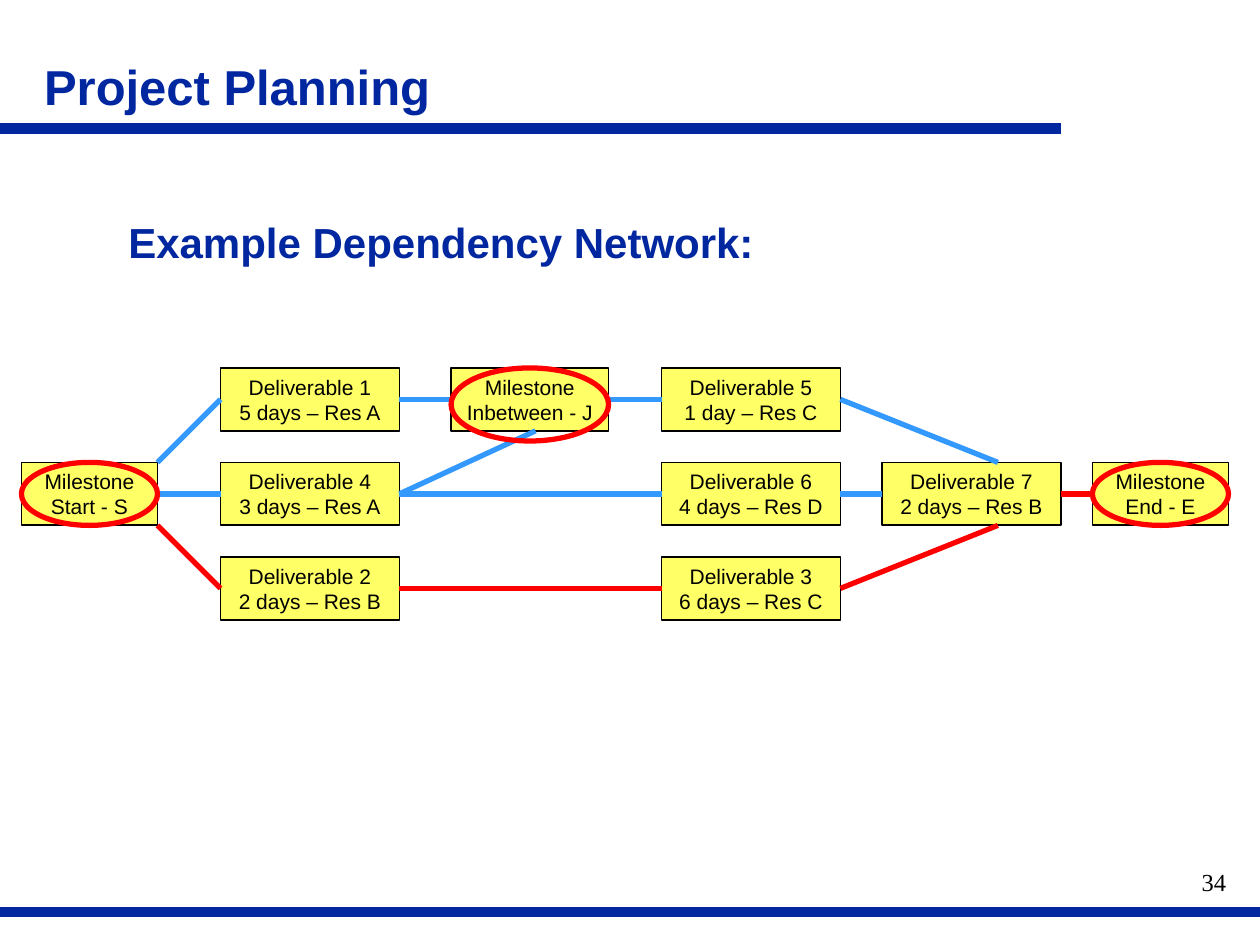
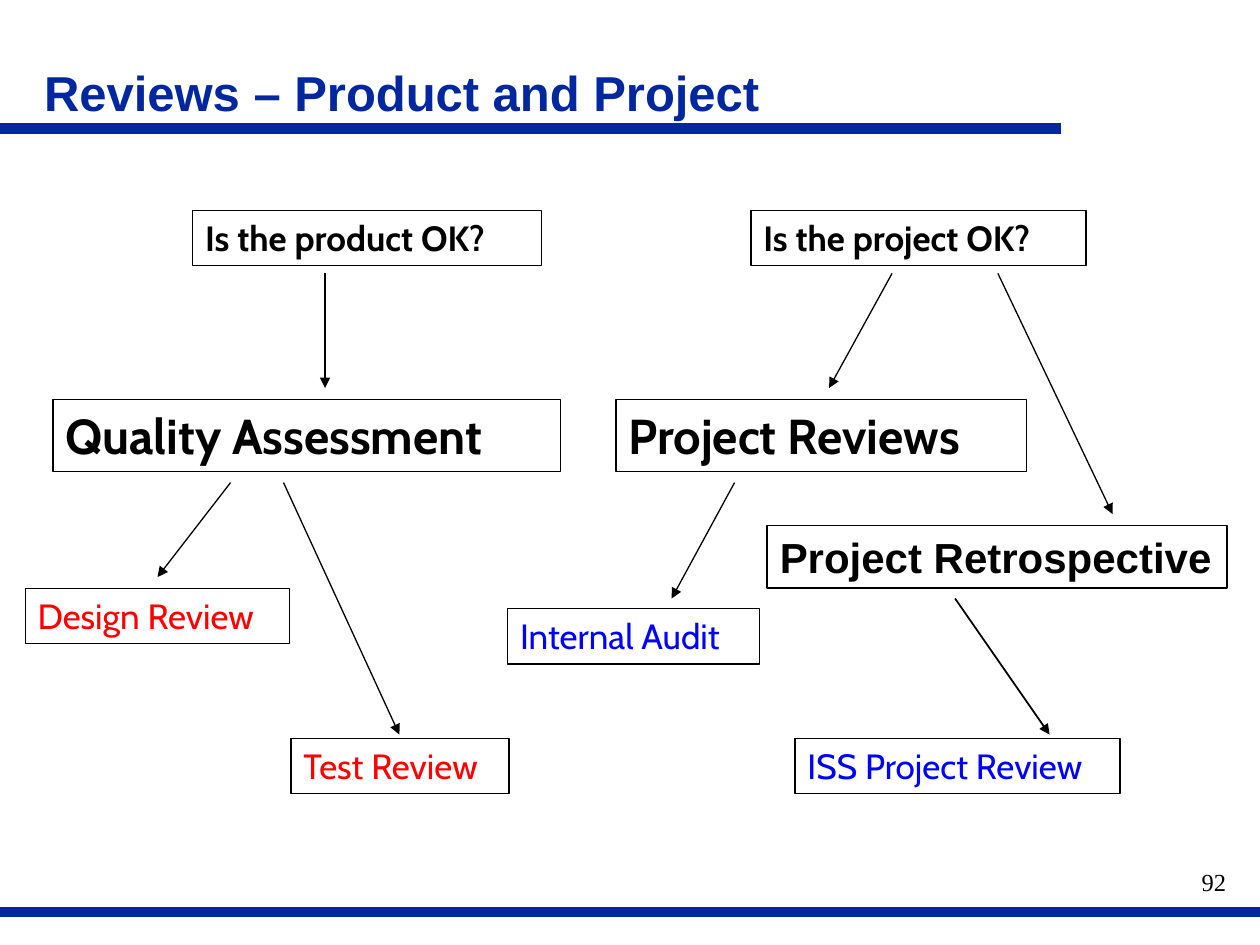
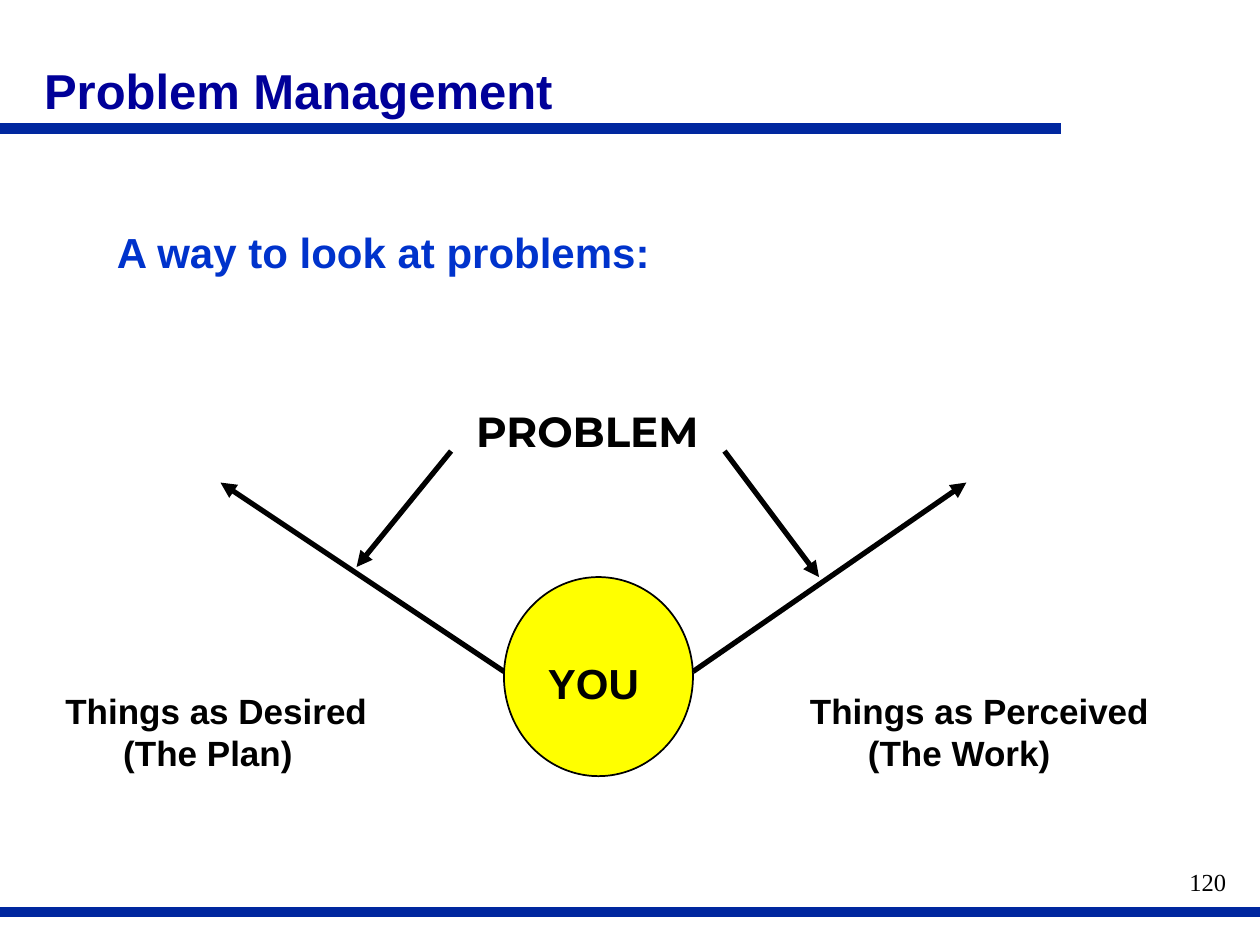
from typing import NamedTuple

from lxml.etree import SubElement
from pptx import Presentation
from pptx.dml.color import RGBColor
from pptx.enum.shapes import MSO_CONNECTOR as Wire, MSO_SHAPE as Form
from pptx.enum.text import MSO_ANCHOR as Anchor, MSO_AUTO_SIZE as Fit, PP_ALIGN as Align
from pptx.oxml.ns import qn
from pptx.util import Inches, Pt

NAVY = RGBColor(0x00, 0x27, 0x9F)
INDIGO = RGBColor(0x00, 0x00, 0x99)
COBALT = RGBColor(0x00, 0x33, 0xCC)
SKY = RGBColor(0x33, 0x99, 0xFF)
BLUE = RGBColor(0x00, 0x00, 0xFF)
RED = RGBColor(0xFF, 0x00, 0x00)
LEMON = RGBColor(0xFF, 0xFF, 0x66)
YELLOW = RGBColor(0xFF, 0xFF, 0x00)
BLACK = RGBColor(0x00, 0x00, 0x00)

ROWS = (2.92, 3.67, 4.42)
TOP, MID, LOW = (row + 0.25 for row in ROWS)
TASK, STONE = 1.42, 1.08


class Box(NamedTuple):
    left: float
    top: float
    width: float
    height: float


class Style(NamedTuple):
    size: float
    color: RGBColor = BLACK
    bold: bool = True
    face: str = "Arial"
    align: Align = Align.LEFT


class Label(NamedTuple):
    text: str
    box: Box
    style: Style
    edge: float = 0
    fit: Fit = Fit.SHAPE_TO_FIT_TEXT


class Node(NamedTuple):
    text: str
    left: float
    row: int
    width: float = TASK
    oval: float = 0


class Link(NamedTuple):
    start: tuple[float, float]
    end: tuple[float, float]
    color: RGBColor = BLACK
    weight: float = 3
    arrow: bool = True


NOTE = Style(12, bold=False, align=Align.CENTER)
PAGE = Style(14, bold=False, face="Times New Roman", align=Align.RIGHT)
ASK = Style(20, face="Cabin")
HEAD = Style(28, face="Cabin")
PRODUCT = Style(20, RED, False, "Cabin")
PROJECT = Style(20, BLUE, False, "Cabin")
BIG = Style(24)
SIDE = Style(20)

BANDS = (
    Link((8.42, 1.02), (-0.03, 1.02), NAVY, 6, False),
    Link((10.04, 7.24), (-0.05, 7.24), NAVY, 6, False),
)

NODES = (
    Node("Milestone\vStart - S", 0.17, 1, STONE, 0.5),
    Node("Deliverable 1\v5 days – Res A", 1.75, 0),
    Node("Deliverable 4\v3 days – Res A", 1.75, 1),
    Node("Deliverable 2\v2 days – Res B", 1.75, 2),
    Node("Milestone\vInbetween - J", 3.58, 0, 1.25, 0.58),
    Node("Deliverable 5\v1 day – Res C", 5.25, 0),
    Node("Deliverable 6\v4 days – Res D", 5.25, 1),
    Node("Deliverable 3\v6 days – Res C", 5.25, 2),
    Node("Deliverable 7\v2 days – Res B", 7, 1),
    Node("Milestone\vEnd - E", 8.67, 1, STONE, 0.5),
)

ROUTES = {
    RED: (
        ((1.25, 4.17), (1.75, LOW)),
        ((3.17, LOW), (5.25, LOW)),
        ((6.67, LOW), (7.92, 4.17)),
        ((8.42, MID), (8.67, MID)),
    ),
    SKY: (
        ((1.25, 3.67), (1.75, TOP)),
        ((3.17, TOP), (3.58, TOP)),
        ((4.83, TOP), (5.25, TOP)),
        ((6.67, TOP), (7.92, 3.67)),
        ((1.25, MID), (1.75, MID)),
        ((3.17, MID), (4.25, 3.42)),
        ((3.17, MID), (5.25, MID)),
        ((6.67, MID), (7, MID)),
    ),
}

REVIEWS = (
    Label("Is the product OK?", Box(1.53, 1.67, 2.77, 0.44), ASK, 0.75),
    Label("Is the project OK?", Box(5.96, 1.67, 2.66, 0.44), ASK, 0.75),
    Label("Quality Assessment", Box(0.42, 3.17, 4.03, 0.57), HEAD, 0.75),
    Label("Project Reviews", Box(4.89, 3.17, 3.26, 0.57), HEAD, 0.75),
    Label("Design Review", Box(0.2, 4.67, 2.1, 0.44), PRODUCT, 0.75),
    Label("Test Review", Box(2.31, 5.86, 1.73, 0.44), PRODUCT, 0.75),
    Label("Internal Audit", Box(4.03, 4.83, 2, 0.44), PROJECT, 0.75),
    Label("ISS Project Review", Box(6.31, 5.86, 2.58, 0.44), PROJECT, 0.75),
    Label("Project Retrospective", Box(6.09, 4.17, 3.65, 0.5), BIG, 1),
)

STEPS = (
    Link((2.58, 2.17), (2.58, 3.08), weight=0.75),
    Link((7.08, 2.17), (6.58, 3.08), weight=0.75),
    Link((1.83, 3.83), (1.25, 4.58), weight=0.75),
    Link((2.25, 3.83), (3.17, 5.83), weight=0.75),
    Link((5.83, 3.83), (5.33, 4.75), weight=0.75),
    Link((7.92, 2.17), (8.83, 4.08), weight=0.75),
    Link((7.58, 4.75), (8.33, 5.83), weight=1),
)

VIEWS = (
    Link((5.5, 5.33), (7.67, 3.83)),
    Link((4, 5.33), (1.75, 3.83)),
    Link((5.75, 3.58), (6.5, 4.58)),
    Link((3.58, 3.58), (2.83, 4.5)),
)

SIDES = (
    Label("Things as Desired\n(The Plan)", Box(0.42, 5.42, 2.6, 0.77), SIDE),
    Label("Things as Perceived\n(The Work)", Box(6.33, 5.42, 2.89, 0.77), SIDE),
)


def place(box: Box) -> list:
    return [Inches(side) for side in box]


def write(frame, text: str, style: Style) -> None:
    frame.text = text
    for para in frame.paragraphs:
        para.alignment = style.align
        font = para.font
        font.name, font.size, font.bold = style.face, Pt(style.size), style.bold
        font.color.rgb = style.color


def draw_link(slide, link: Link) -> None:
    ends = [Inches(n) for n in (*link.start, *link.end)]
    wire = slide.shapes.add_connector(Wire.STRAIGHT, *ends)
    wire.line.color.rgb = link.color
    wire.line.width = Pt(link.weight)
    if link.arrow:
        SubElement(wire.line._get_or_add_ln(), qn("a:tailEnd"), type="triangle")
    SubElement(wire._element.spPr, qn("a:effectLst"))


def draw_label(slide, label: Label):
    shape = slide.shapes.add_textbox(*place(label.box))
    frame = shape.text_frame
    write(frame, label.text, label.style)
    frame.word_wrap = False
    frame.auto_size = label.fit
    if label.edge:
        shape.line.color.rgb = BLACK
        shape.line.width = Pt(label.edge)
    return frame


def draw_form(slide, form: Form, box: Box, fill: RGBColor | None, edge: RGBColor, weight: float):
    shape = slide.shapes.add_shape(form, *place(box))
    shape.shadow.inherit = False
    if fill is None:
        shape.fill.background()
    else:
        shape.fill.solid()
        shape.fill.fore_color.rgb = fill
    shape.line.color.rgb = edge
    shape.line.width = Pt(weight)
    return shape


def draw_node(slide, node: Node) -> None:
    box = Box(node.left, ROWS[node.row], node.width, 0.5)
    frame = draw_form(slide, Form.RECTANGLE, box, LEMON, BLACK, 1).text_frame
    frame.word_wrap = True
    frame.vertical_anchor = Anchor.TOP
    write(frame, node.text, NOTE)


def start(deck, title: str, box: Box, page: str, color: RGBColor = NAVY):
    slide = deck.slides.add_slide(deck.slide_layouts[5])
    for band in BANDS:
        draw_link(slide, band)
    head = slide.shapes.title
    head.left, head.top, head.width, head.height = place(box)
    frame = head.text_frame
    write(frame, title, Style(28, color))
    frame.paragraphs[0].line_spacing = 0.85
    frame.vertical_anchor = Anchor.MIDDLE
    frame.auto_size = Fit.NONE
    foot = draw_label(slide, Label(page, Box(7.75, 6.83, 2.08, 0.5), PAGE, fit=Fit.NONE))
    foot.word_wrap = True
    return slide


def plan(deck) -> None:
    slide = start(deck, "Project Planning", Box(0.25, 0.5, 8.21, 0.44), "34")
    draw_label(slide, Label("Example Dependency Network:", Box(0.92, 1.67, 5.2, 0.5), Style(24, NAVY)))
    for node in NODES:
        draw_node(slide, node)
    for color, route in ROUTES.items():
        for tip, end in route:
            draw_link(slide, Link(tip, end, color, arrow=False))
    for node in NODES:
        if node.oval:
            ring = Box(node.left, ROWS[node.row], node.width, node.oval)
            draw_form(slide, Form.OVAL, ring, None, RED, 3)


def review(deck) -> None:
    slide = start(deck, "Reviews – Product and Project", Box(0.25, 0.5, 8.21, 0.53), "92")
    for label in REVIEWS:
        draw_label(slide, label)
    for step in STEPS:
        draw_link(slide, step)


def manage(deck) -> None:
    slide = start(deck, "Problem Management", Box(0.25, 0.25, 6.83, 1), "120", INDIGO)
    for side in SIDES:
        frame = draw_label(slide, side)
        frame.paragraphs[1]._p.get_or_add_pPr().set("marL", str(Inches(0.46)))
    for view in VIEWS:
        draw_link(slide, view)
    draw_form(slide, Form.OVAL, Box(4, 4.58, 1.5, 1.58), YELLOW, BLACK, 1)
    draw_label(slide, Label("YOU", Box(4.25, 5.17, 0.92, 0.5), BIG))
    bold = Style(24, face="Montserrat")
    draw_label(slide, Label("PROBLEM", Box(3.68, 3.17, 1.95, 0.94), bold, fit=Fit.NONE))
    draw_label(slide, Label("A way to look at problems:", Box(0.83, 1.75, 4.53, 0.5), Style(24, COBALT)))


def main() -> None:
    deck = Presentation()
    deck.slide_width, deck.slide_height = Inches(10), Inches(7.5)
    plan(deck)
    review(deck)
    manage(deck)
    deck.save("out.pptx")


if __name__ == "__main__":
    main()
